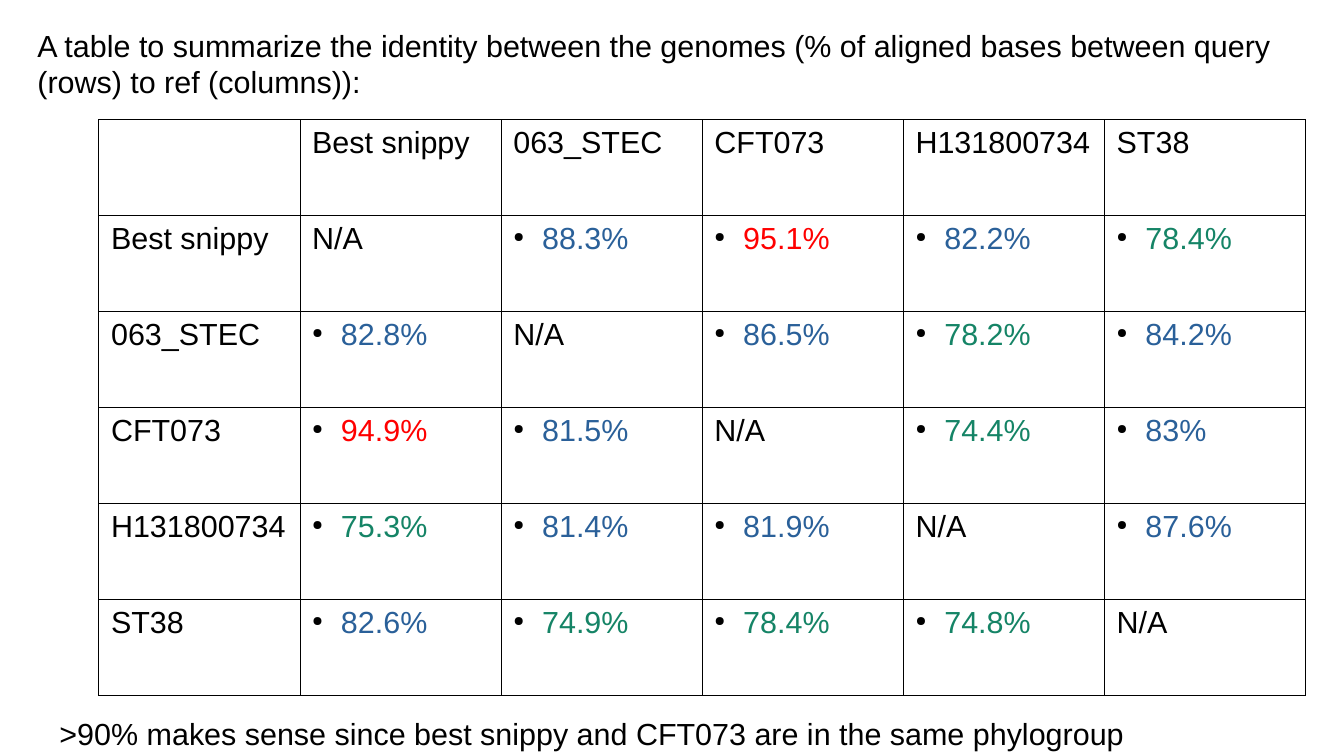
from lxml import etree
from pptx import Presentation
from pptx.dml.color import RGBColor
from pptx.enum.text import MSO_ANCHOR, MSO_AUTO_SIZE
from pptx.oxml.ns import qn
from pptx.util import Cm, Pt

TOP = MSO_ANCHOR.TOP
NO_AUTOFIT = MSO_AUTO_SIZE.NONE

# Content
INTRO = ("A table to summarize the identity between the genomes "
         "(% of aligned bases between query (rows) to ref (columns)):")
CLOSING = ">90% makes sense since best snippy and CFT073 are in the same phylogroup"
GENOMES = ["Best snippy", "063_STEC", "CFT073", "H131800734", "ST38"]
IDENTITY = [
    [None, 88.3, 95.1, 82.2, 78.4],
    [82.8, None, 86.5, 78.2, 84.2],
    [94.9, 81.5, None, 74.4, 83],
    [75.3, 81.4, 81.9, None, 87.6],
    [82.6, 74.9, 78.4, 74.8, None],
]

# Style
COLORS = {"text": "000000", "high": "FF0000", "medium": "2A6099", "low": "158466"}
FONT = "Arial"
FONT_SIZE = Pt(18)
BORDER_WIDTH = Pt(0.57)
BULLET_INDENT = Cm(0.6)
COLUMN_WIDTH = Cm(4.19)
ROW_HEIGHT = Cm(2)


def identity_color(percent):
    if percent > 90:
        return "high"
    return "medium" if percent > 80 else "low"


def add_text(paragraph, text, color="text"):
    run = paragraph.add_run()
    run.text = text
    run.font.name = FONT
    run.font.size = FONT_SIZE
    run.font.color.rgb = RGBColor.from_string(COLORS[color])


def add_text_box(slide, text, left, top, width, height, wrap):
    frame = slide.shapes.add_textbox(Cm(left), Cm(top), Cm(width), Cm(height)).text_frame
    frame.word_wrap = wrap
    frame.auto_size = NO_AUTOFIT
    frame.vertical_anchor = TOP
    add_text(frame.paragraphs[0], text)


def add_bullet(paragraph):
    properties = paragraph._p.get_or_add_pPr()
    properties.set("marL", str(BULLET_INDENT))
    properties.set("indent", str(-BULLET_INDENT))
    bullet_color = etree.SubElement(properties, qn("a:buClr"))
    etree.SubElement(bullet_color, qn("a:srgbClr"), val=COLORS["text"])
    etree.SubElement(properties, qn("a:buSzPct"), val="45000")
    etree.SubElement(properties, qn("a:buChar"), char="●")


def add_borders(cell):
    properties = cell._tc.get_or_add_tcPr()
    for side in ("a:lnL", "a:lnR", "a:lnT", "a:lnB"):
        line = etree.SubElement(properties, qn(side), w=str(BORDER_WIDTH))
        fill = etree.SubElement(line, qn("a:solidFill"))
        etree.SubElement(fill, qn("a:srgbClr"), val=COLORS["text"])


def fill_cell(cell, value):
    add_borders(cell)
    cell.fill.background()
    paragraph = cell.text_frame.paragraphs[0]
    if value is None:
        add_text(paragraph, "N/A")
    elif isinstance(value, str):
        if value:
            add_text(paragraph, value)
    else:
        add_bullet(paragraph)
        add_text(paragraph, f"{value}%", identity_color(value))


def add_identity_table(slide):
    rows = [["", *GENOMES]]
    rows += [[genome, *values] for genome, values in zip(GENOMES, IDENTITY)]
    size = len(rows)
    table = slide.shapes.add_table(size, size, Cm(2.06), Cm(2.49),
                                   COLUMN_WIDTH * size, ROW_HEIGHT * size).table
    table.first_row = False
    table.horz_banding = False
    for column in table.columns:
        column.width = COLUMN_WIDTH
    for row, values in zip(table.rows, rows):
        row.height = ROW_HEIGHT
        for cell, value in zip(row.cells, values):
            fill_cell(cell, value)


def main():
    presentation = Presentation()
    presentation.slide_width = Cm(28)
    presentation.slide_height = Cm(15.75)
    slide = presentation.slides.add_slide(presentation.slide_layouts[6])

    # Introduction, table and closing remark
    add_text_box(slide, INTRO, 0.53, 0.43, 27.08, 6.25, wrap=True)
    add_identity_table(slide)
    add_text_box(slide, CLOSING, 0.99, 14.78, 22.68, 0.97, wrap=False)

    presentation.save("out.pptx")


if __name__ == "__main__":
    main()
